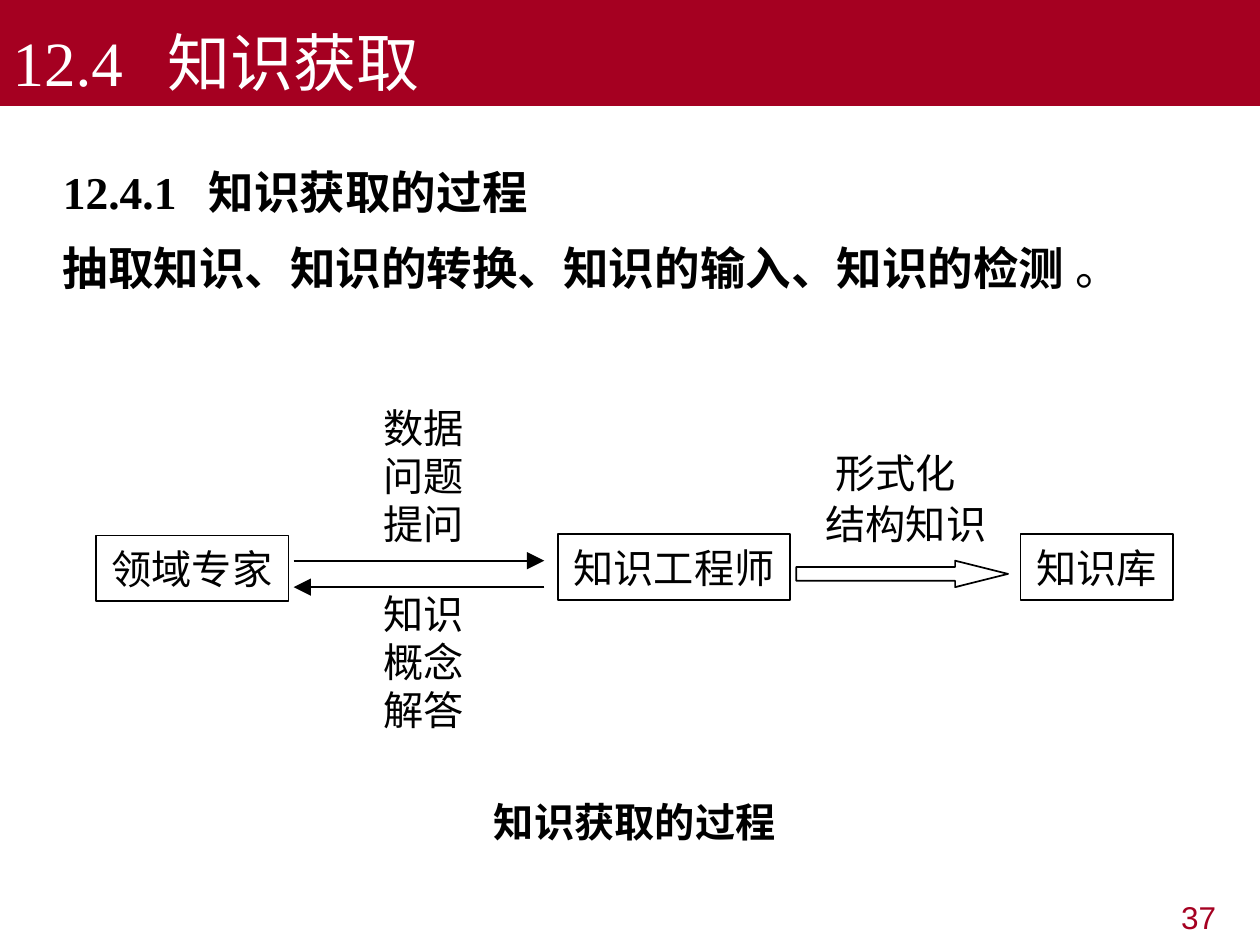
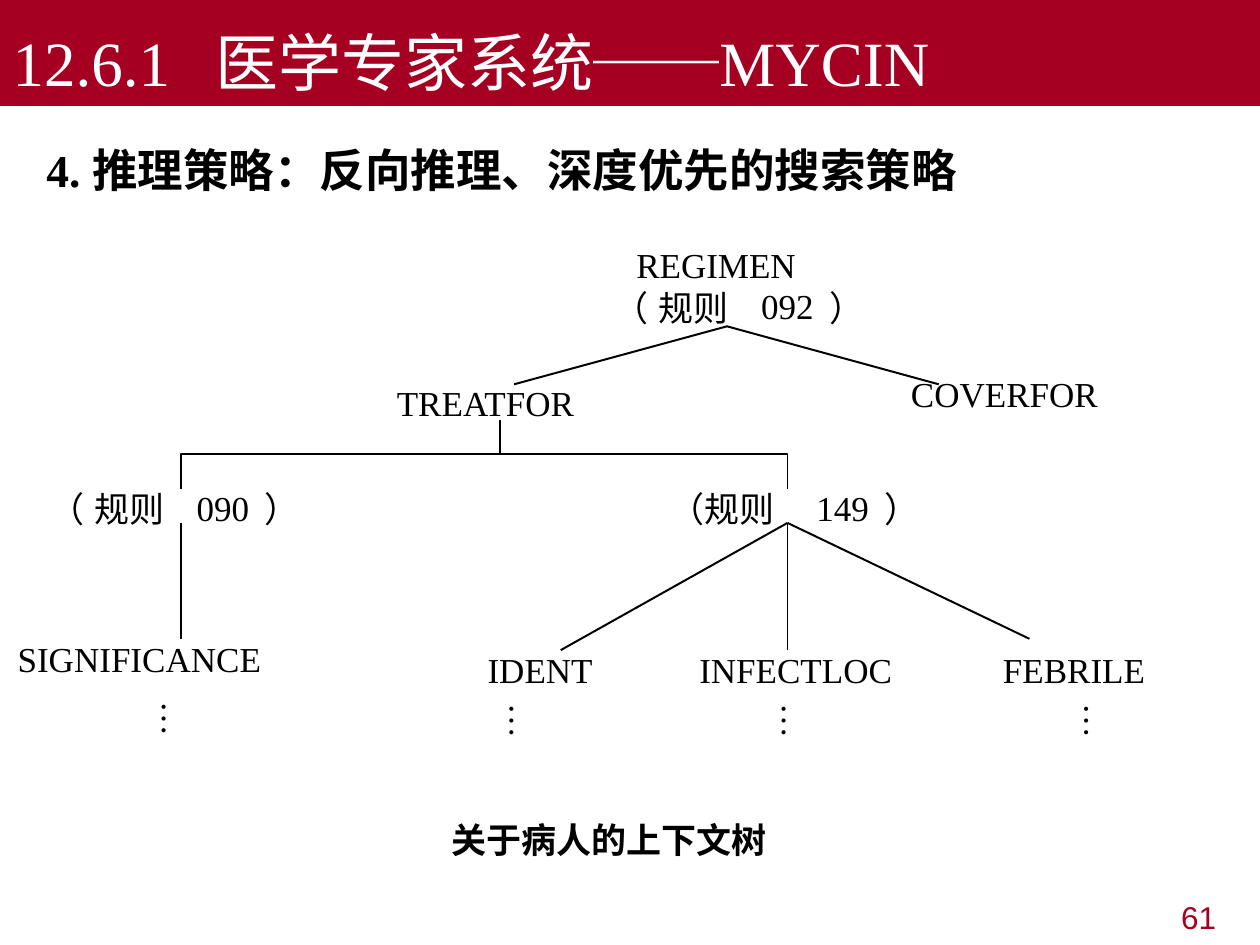
"""Builds two lecture slides on knowledge acquisition and the MYCIN context tree."""
from lxml import etree
from pptx import Presentation
from pptx import util as u
from pptx.dml.color import RGBColor
from pptx.enum import shapes, text
from pptx.oxml.ns import qn

COLOURS = {"red": "A50021", "black": "000000", "white": "FFFFFF"}
CJK = "Noto Sans CJK SC"
LATIN = "Times New Roman"
INSETS = (0.1, 0.05)


class Lecture:
    """Holds the deck style and draws elements on the current slide."""

    def __init__(self):
        self.deck = Presentation()
        self.deck.slide_width, self.deck.slide_height = u.Inches(10), u.Inches(7.5)
        self.page = None

    def colour(self, name):
        return RGBColor.from_string(COLOURS[name])

    def add_page(self, title, number, tab=None):
        self.page = self.deck.slides.add_slide(self.deck.slide_layouts[5])
        band = self.page.shapes.title
        band.left, band.top, band.width, band.height = map(u.Inches, (0, 0, 10, 0.84))
        band.fill.solid()
        band.fill.fore_color.rgb = self.colour("red")
        self.frame(band, INSETS, wrap=True).vertical_anchor = text.MSO_ANCHOR.BOTTOM
        self.style(band.text_frame.paragraphs[0], title, 36, LATIN, "white", tab=tab)
        self.label(number, 7.58, 7.08, 2.17, 0.39, 18, "Arial", "red",
                   align=text.PP_ALIGN.RIGHT, insets=INSETS, wrap=True)

    def frame(self, box, insets=(0, 0), wrap=False):
        frame = box.text_frame
        frame.auto_size = text.MSO_AUTO_SIZE.NONE
        frame.word_wrap = wrap
        frame.margin_left = frame.margin_right = u.Inches(insets[0])
        frame.margin_top = frame.margin_bottom = u.Inches(insets[1])
        return frame

    def style(self, para, words, size, font, colour="black", bold=False,
              align=text.PP_ALIGN.LEFT, tab=None, spacing=None):
        span = para.add_run()
        span.text = words
        props = para._p.get_or_add_pPr()
        if tab:
            tabs = etree.SubElement(props, qn("a:tabLst"))
            etree.SubElement(tabs, qn("a:tab"), pos=str(u.Inches(tab)), algn="l")
        para.alignment = align
        if spacing:
            para.line_spacing = spacing
        para.font.name = font
        para.font.size = u.Pt(size)
        para.font.bold = bold
        para.font.color.rgb = self.colour(colour)
        etree.SubElement(props.find(qn("a:defRPr")), qn("a:ea"), typeface=CJK)

    def label(self, words, left, top, width, height, size, font=CJK, colour="black",
              insets=(0, 0), wrap=False, rotation=0, **style):
        box = self.page.shapes.add_textbox(*map(u.Inches, (left, top, width, height)))
        box.rotation = rotation
        frame = self.frame(box, insets, wrap)
        self.style(frame.paragraphs[0], words, size, font, colour, **style)
        return frame

    def outline(self, shape, width):
        shape.shadow.inherit = False
        shape.fill.background()
        shape.line.color.rgb = self.colour("black")
        shape.line.width = u.Pt(width)

    def preset(self, kind, left, top, width, height):
        shape = self.page.shapes.add_shape(kind, *map(u.Inches, (left, top, width, height)))
        self.outline(shape, 1)
        return shape

    def node(self, words, left, top, width):
        box = self.preset(shapes.MSO_SHAPE.RECTANGLE, left, top, width, 0.52)
        frame = self.frame(box)
        frame.vertical_anchor = text.MSO_ANCHOR.MIDDLE
        self.style(frame.paragraphs[0], words, 23, CJK, align=text.PP_ALIGN.CENTER)

    def line(self, start, end, width=1.13, arrow=False):
        line = self.page.shapes.add_connector(
            shapes.MSO_CONNECTOR.STRAIGHT, *map(u.Inches, (*start, *end)))
        line.line.color.rgb = self.colour("black")
        line.line.width = u.Pt(width)
        if arrow:
            etree.SubElement(line.line._get_or_add_ln(), qn("a:tailEnd"),
                             type="triangle", w="lg", len="lg")
        etree.SubElement(line._element.spPr, qn("a:effectLst"))

    def polyline(self, points):
        corners = [tuple(map(u.Inches, point)) for point in points]
        builder = self.page.shapes.build_freeform(*corners[0])
        builder.add_line_segments(corners[1:], close=False)
        self.outline(builder.convert_to_shape(), 1.13)

    def rule_label(self, number, left, top, word_gap=0.36):
        for words, offset, width in (("（", 0, 0.28), ("规则", word_gap, 0.56),
                                     ("）", 1.71, 0.28)):
            self.label(words, left + offset, top, width, 0.33, 20)
        self.label(number, left + 1.17, top - 0.01, 0.42, 0.33, 20, LATIN)


def acquisition_page(lecture):
    lecture.add_page("12.4\t知识获取", "37", tab=1.23)
    frame = lecture.label("12.4.1\t知识获取的过程", 0.4, 1.08, 9.02, 1.32, 26, LATIN,
                          insets=INSETS, wrap=True, bold=True, tab=1.16, spacing=1.4)
    para = frame.add_paragraph()
    lecture.style(para, "抽取知识、知识的转换、知识的输入、知识的检测", 26, LATIN,
                  bold=True, spacing=1.4)
    span = para.add_run()
    span.text = " 。"
    span.font.bold = False

    for words, left, top, width in (("领域专家", 0.76, 4.25, 1.53),
                                    ("知识工程师", 4.43, 4.24, 1.84),
                                    ("知识库", 8.1, 4.24, 1.21)):
        lecture.node(words, left, top, width)
    for first_top, stack in ((3.2, ("数据", "问题", "提问")),
                             (4.68, ("知识", "概念", "解答"))):
        for row, words in enumerate(stack):
            lecture.label(words, 3.04, first_top + 0.38 * row, 0.64, 0.38, 23)
    lecture.label("形式化", 6.63, 3.56, 0.96, 0.38, 23)
    lecture.label("结构知识", 6.55, 3.96, 1.28, 0.38, 23)
    lecture.line((2.33, 4.45), (4.32, 4.45), 1, arrow=True)
    lecture.line((4.32, 4.66), (2.33, 4.66), 1, arrow=True)
    arrow = lecture.preset(shapes.MSO_SHAPE.RIGHT_ARROW, 6.32, 4.45, 1.68, 0.21)
    arrow.adjustments[0], arrow.adjustments[1] = 0.52, 2
    lecture.label("知识获取的过程", 3.92, 6.33, 2.24, 0.38, 23, bold=True)


def context_tree_page(lecture):
    lecture.add_page("12.6.1\t医学专家系统──MYCIN", "61", tab=1.61)
    lecture.label("4. 推理策略：反向推理、深度优先的搜索策略", 0.27, 0.99, 9.45, 0.75, 26, LATIN,
                  insets=INSETS, wrap=True, bold=True, spacing=1.2)

    for words, left, top, width in (("REGIMEN", 5.05, 1.93, 1.27),
                                    ("TREATFOR", 3.15, 3.03, 1.44),
                                    ("COVERFOR", 7.23, 2.96, 1.49),
                                    ("SIGNIFICANCE", 0.14, 5.06, 1.93),
                                    ("IDENT", 3.87, 5.15, 0.84),
                                    ("INFECTLOC", 5.55, 5.15, 1.53),
                                    ("FEBRILE", 7.96, 5.15, 1.13)):
        lecture.label(words, left, top, width, 0.33, 20, LATIN)
    lecture.rule_label("092", 4.87, 2.27)
    lecture.rule_label("090", 0.39, 3.87)
    lecture.rule_label("149", 5.31, 3.87, word_gap=0.28)

    root, treat, left_rule, right_rule = (5.77, 2.59), (3.97, 3.33), (1.44, 4.15), (6.25, 4.15)
    branches = ((root, ((4.08, 3.05), (7.45, 3.05))),
                (treat, ((3.97, 3.6),)),
                (left_rule, ((1.44, 5.07),)),
                (right_rule, ((4.45, 5.16), (6.25, 5.16), (8.17, 5.07))))
    for parent, children in branches:
        for child in children:
            lecture.line(parent, child)
    lecture.polyline(((1.44, 3.88), (1.44, 3.6), (6.25, 3.6), (6.25, 3.88)))

    for left, top in ((1.26, 5.54), (4.02, 5.56), (6.18, 5.56), (8.58, 5.56)):
        lecture.label("…", left, top, 0.28, 0.33, 20, LATIN, rotation=90)
    lecture.label("关于病人的上下文树", 3.58, 6.5, 2.83, 0.33, 20, wrap=True, bold=True)


def main():
    lecture = Lecture()
    acquisition_page(lecture)
    context_tree_page(lecture)
    lecture.deck.save("out.pptx")


if __name__ == "__main__":
    main()
